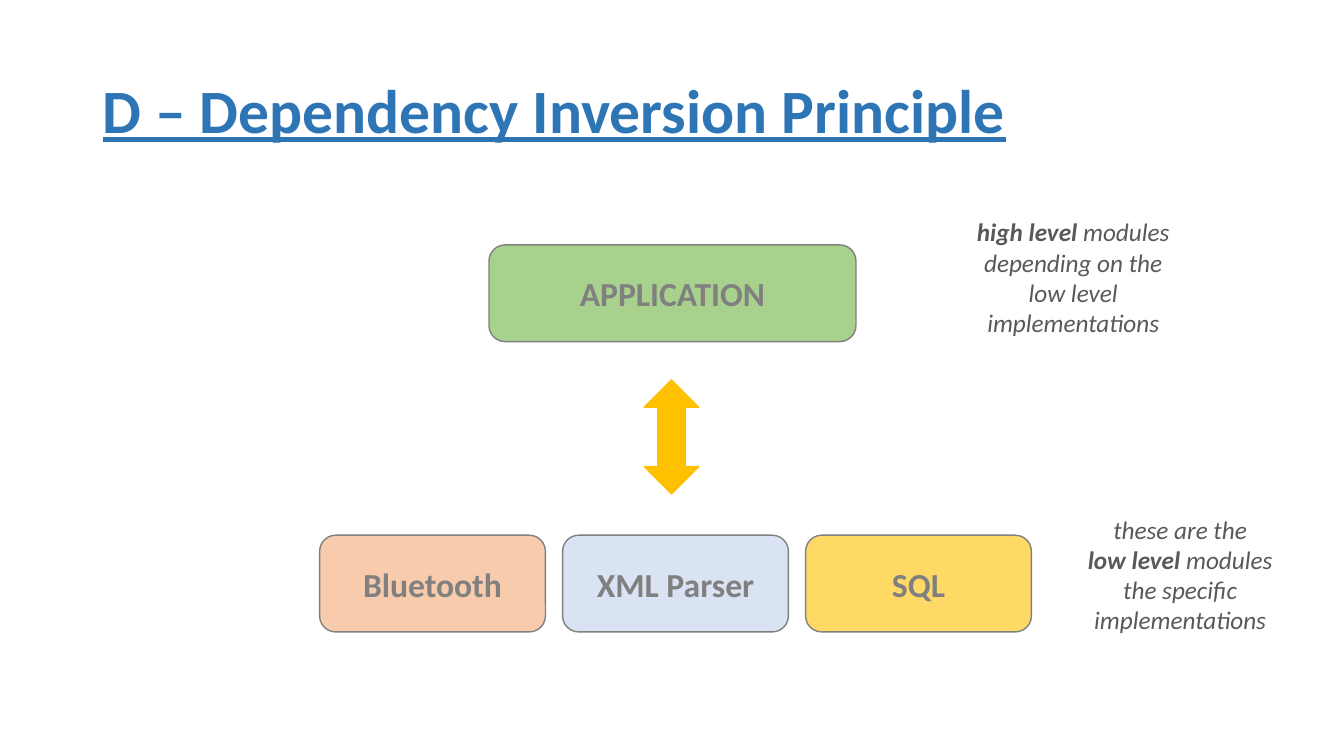
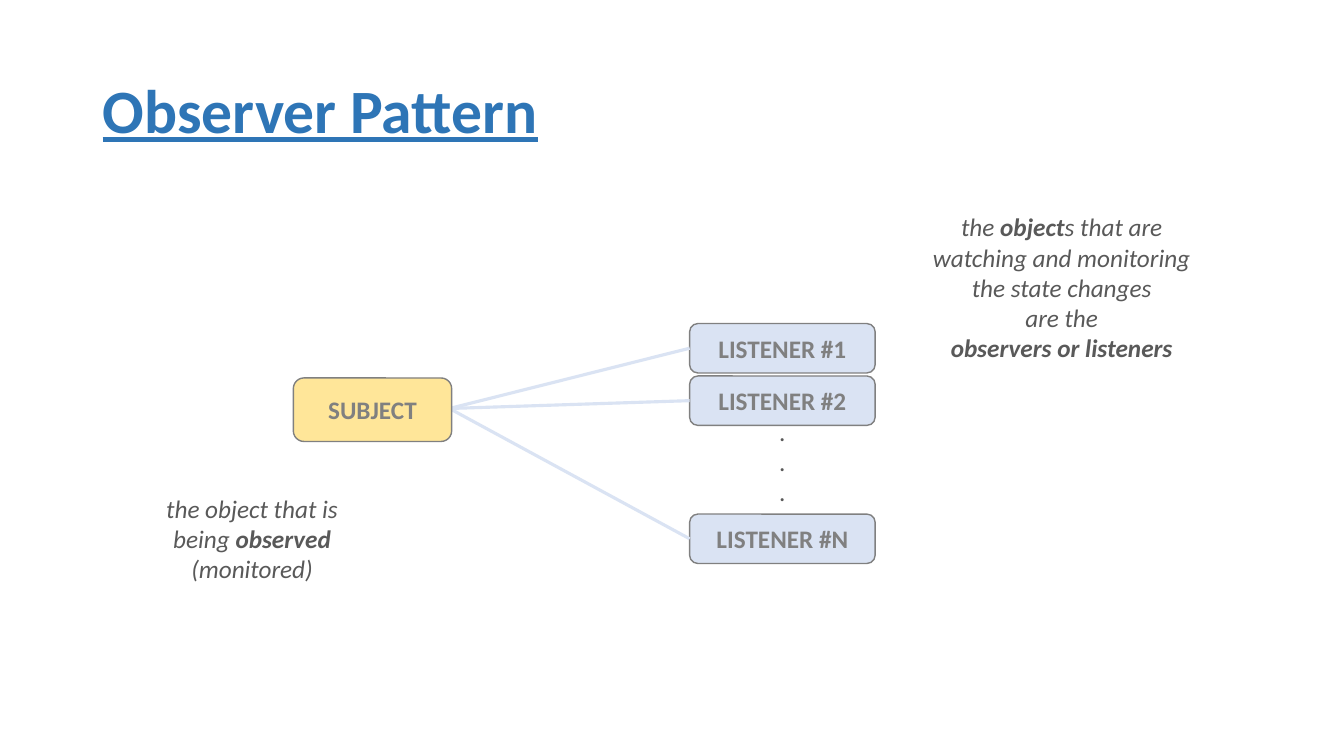
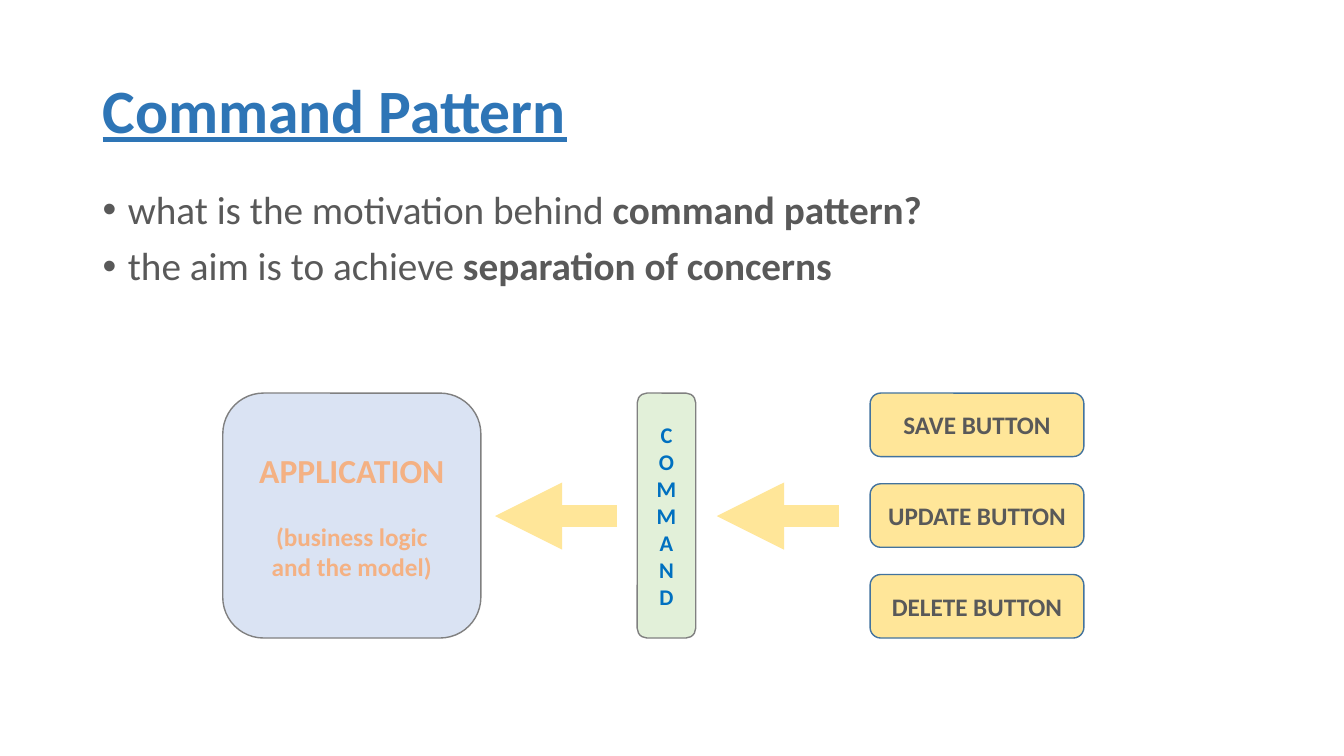
import pptx
import pptx.dml.color
import pptx.enum.shapes
import pptx.enum.text
import pptx.oxml
import pptx.oxml.ns
import pptx.util

EMU_PER_PX = 9144  # 100 px to the inch
SHAPES = pptx.enum.shapes.MSO_SHAPE
ALIGN = pptx.enum.text.PP_ALIGN
ANCHOR = pptx.enum.text.MSO_ANCHOR

TITLE_BLUE = "2E75B6"
DARK_GRAY = "595959"
GRAY = "808080"
PALE_BLUE = "DAE3F3"
PALE_YELLOW = "FFE699"
AMBER = "FFC000"


def px(length):
    return pptx.util.Emu(round(length * EMU_PER_PX))


def rgb(value):
    return pptx.dml.color.RGBColor.from_string(value)


def append_xml(parent, tag, **attributes):
    element = pptx.oxml.parse_xml(f"<a:{tag} {pptx.oxml.ns.nsdecls('a')}/>")
    for name, value in attributes.items():
        element.set(name, value)
    parent.append(element)


class Deck:
    font = "Calibri"

    def __init__(self):
        self.deck = pptx.Presentation()
        self.deck.slide_width, self.deck.slide_height = px(1333), px(750)
        self.page = None

    def start_page(self, title):
        self.page = self.deck.slides.add_slide(self.deck.slide_layouts[6])
        box = self.text_box(92, 40, 1150, 145, anchor=ANCHOR.MIDDLE)
        para = self.add_lines(box, [title], 44, TITLE_BLUE, bold=True, align=ALIGN.LEFT)[0]
        para.line_spacing = 0.9
        para.runs[0].font.underline = True

    def add_lines(self, box, lines, size, color, bold=False, italic=False, align=ALIGN.CENTER):
        """Add one paragraph per line; text between ** marks is bold."""
        frame = box.text_frame
        for number, line in enumerate(lines):
            para = frame.add_paragraph() if number else frame.paragraphs[0]
            para.alignment = align
            for index, text in enumerate(line.split("**")):
                if not text:
                    continue
                span = para.add_run()
                span.text = text
                span.font.name = self.font
                span.font.size = pptx.util.Pt(size)
                span.font.bold = bold or index % 2 == 1
                span.font.italic = italic
                span.font.color.rgb = rgb(color)
        return frame.paragraphs

    def text_box(self, left, top, width, height, wrap=True, anchor=ANCHOR.TOP):
        box = self.page.shapes.add_textbox(px(left), px(top), px(width), px(height))
        box.text_frame.word_wrap = wrap
        box.text_frame.vertical_anchor = anchor
        return box

    def note(self, left, top, width, height, lines, italic=True, align=ALIGN.CENTER):
        box = self.text_box(left, top, width, height, wrap=False)
        self.add_lines(box, lines, 18, DARK_GRAY, italic=italic, align=align)

    def bullets(self, left, top, width, height, lines):
        box = self.text_box(left, top, width, height)
        paragraphs = self.add_lines(box, lines, 28, DARK_GRAY, align=ALIGN.LEFT)
        for number, para in enumerate(paragraphs):
            para.line_spacing = 0.9
            if number:
                para.space_before = pptx.util.Pt(10)
            properties = para._p.get_or_add_pPr()
            properties.set("marL", str(px(25)))
            properties.set("indent", str(px(-25)))
            append_xml(properties, "buFont", typeface="Arial")
            append_xml(properties, "buChar", char="•")

    def shape(self, kind, left, top, width, height, fill, line):
        shape = self.page.shapes.add_shape(kind, px(left), px(top), px(width), px(height))
        shape.shadow.inherit = False
        shape.fill.solid()
        shape.fill.fore_color.rgb = rgb(fill)
        shape.line.color.rgb = rgb(line)
        shape.line.width = pptx.util.Pt(1)
        return shape

    def block(self, left, top, width, height, lines, fill, size=18, color=GRAY, line=GRAY):
        block = self.shape(SHAPES.ROUNDED_RECTANGLE, left, top, width, height, fill, line)
        block.text_frame.vertical_anchor = ANCHOR.MIDDLE
        self.add_lines(block, lines, size, color, bold=True)
        return block

    def arrow(self, start, end, color, width, source=None):
        """Draw an arrow, joined to the left side of source if one is given."""
        connector = self.page.shapes.add_connector(
            pptx.enum.shapes.MSO_CONNECTOR.STRAIGHT, *map(px, start + end))
        if source is not None:
            connector.begin_connect(source, 1)
        connector.line.color.rgb = rgb(color)
        connector.line.width = pptx.util.Pt(width)
        append_xml(connector.line._get_or_add_ln(), "tailEnd", type="triangle")
        append_xml(connector._element.spPr, "effectLst")


def dependency_page(deck):
    deck.start_page("D – Dependency Inversion Principle")
    modules = [("Bluetooth", "F8CBAD"), ("XML Parser", PALE_BLUE), ("SQL", "FFD966")]
    for column, (name, fill) in enumerate(modules):
        deck.block(317 + 241 * column, 531, 224, 96, [name], fill, size=24)
    deck.note(1068, 505, 205, 162, ["these are the", "**low level** modules",
                                    "the specific", "implementations"])
    deck.block(485, 243, 364, 96, ["APPLICATION"], "A9D18E", size=24)
    deck.note(958, 210, 213, 162, ["**high level** modules", "depending on the",
                                   "low level", "implementations"])
    deck.shape(SHAPES.UP_DOWN_ARROW, 639, 377, 54, 113, AMBER, AMBER)


def observer_page(deck):
    deck.start_page("Observer Pattern")
    listeners = [("1", 321, (407, 415)), ("2", 373, (393, 407)), ("N", 510, (425, 394))]
    left, height = 684, 49
    for number, top, target in listeners:
        listener = deck.block(left, top, 184, height, [f"LISTENER #{number}"], PALE_BLUE)
        deck.arrow((left, top + height / 2), target, PALE_BLUE, 2.25, source=listener)
    deck.block(291, 375, 157, 63, ["SUBJECT"], PALE_YELLOW)
    deck.note(154, 484, 192, 101, ["the object that is", "being **observed**", "(monitored)"])
    deck.note(763, 408, 27, 101, ["."] * 3, italic=False, align=ALIGN.LEFT)
    deck.note(914, 205, 278, 162, ["the **object**s that are", "watching and monitoring",
                                   "the state changes", "are the",
                                   "**observers or listeners**"])


def command_page(deck):
    deck.start_page("Command Pattern")
    deck.bullets(92, 184, 1150, 534, [
        "what is the motivation behind **command pattern?**",
        "the aim is to achieve **separation of concerns**"])
    top, height = 390, 243
    for row, action in enumerate(["SAVE", "UPDATE", "DELETE"]):
        deck.block(863, top + 90 * row, 212, 63, [f"{action} BUTTON"], PALE_YELLOW,
                   color=DARK_GRAY, line="43739E")
    application = deck.block(221, top, 256, height,
                             ["APPLICATION", "(business logic", "and the model)"],
                             PALE_BLUE, color="F4B183")
    heading, detail = application.text_frame.paragraphs[:2]
    heading.runs[0].font.size = pptx.util.Pt(24)
    detail.space_before = pptx.util.Pt(22)
    deck.block(632, top, 58, height, list("COMMAND"), "E2F0D9", size=16, color="0070C0")
    for start in (832, 612):
        deck.arrow((start, 512), (start - 121, 512), PALE_YELLOW, 16)


def main():
    deck = Deck()
    dependency_page(deck)
    observer_page(deck)
    command_page(deck)
    deck.deck.save("out.pptx")


if __name__ == "__main__":
    main()
